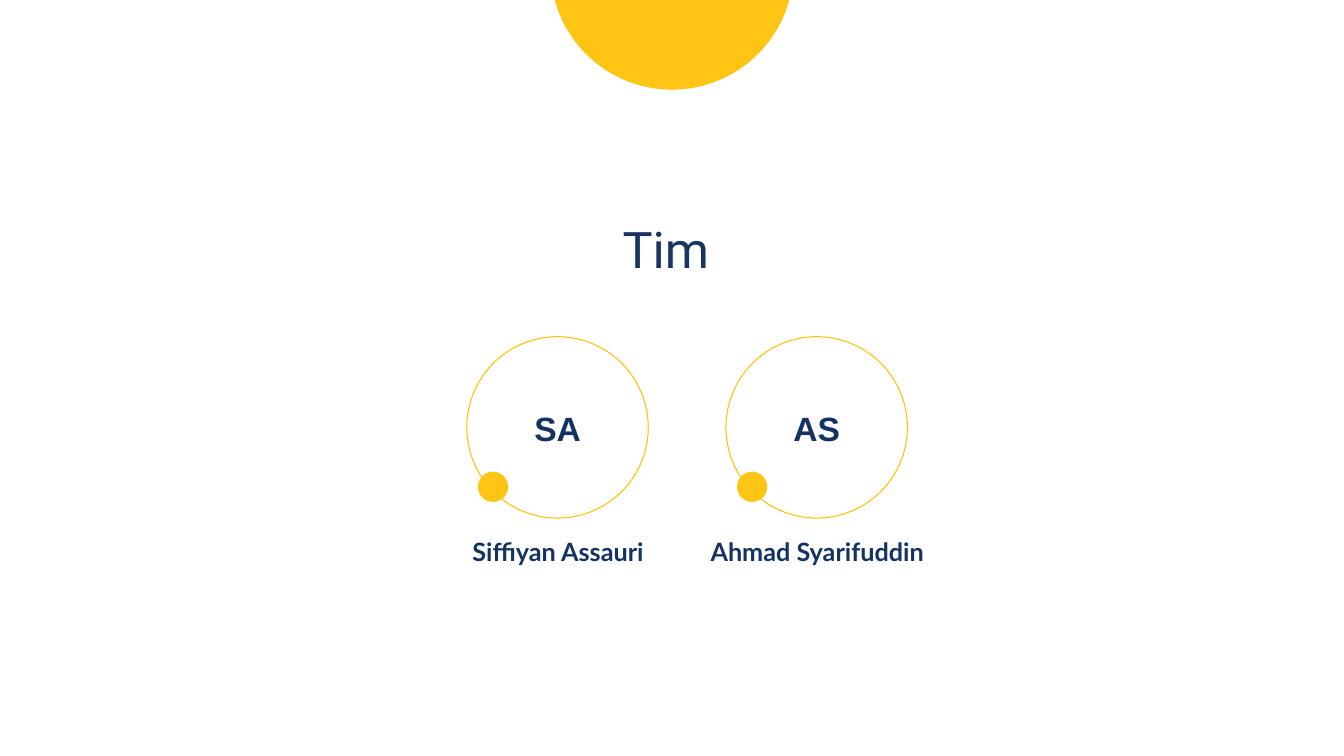
from pptx import Presentation
from pptx.dml.color import RGBColor
from pptx.enum.shapes import MSO_SHAPE
from pptx.enum.text import MSO_ANCHOR, MSO_AUTO_SIZE, PP_ALIGN
from pptx.util import Inches, Pt

TITLE_NAVY = RGBColor(0x19, 0x35, 0x5F)
NAVY = RGBColor(0x14, 0x33, 0x62)
RING_YELLOW = RGBColor(0xFF, 0xC2, 0x00)
YELLOW = RGBColor(0xFF, 0xC4, 0x14)

MEMBERS = [("SA", "Siffiyan Assauri"), ("AS", "Ahmad Syarifuddin")]
FIRST_RING_LEFT = 4.63
MEMBER_PITCH = 2.57
RING_TOP = 3.34


def write_text(frame, text, *, font, size, color, bold=False, spacing=0.75,
               anchor=MSO_ANCHOR.TOP, insets=(0, 0.16, 0, 0)):
    frame.word_wrap = True
    frame.auto_size = MSO_AUTO_SIZE.NONE
    frame.vertical_anchor = anchor
    (frame.margin_left, frame.margin_top,
     frame.margin_right, frame.margin_bottom) = map(Inches, insets)
    paragraph = frame.paragraphs[0]
    paragraph.alignment = PP_ALIGN.CENTER
    paragraph.line_spacing = spacing
    paragraph.space_before = Pt(0)
    run = paragraph.add_run()
    run.text = text
    run.font.name = font
    run.font.size = Pt(size)
    run.font.bold = bold
    run.font.color.rgb = color


class TeamSlide:
    def __init__(self, presentation):
        self.slide = presentation.slides.add_slide(presentation.slide_layouts[5])

    def title(self, text):
        title = self.slide.shapes.title
        title.left, title.top = Inches(2.37), Inches(2.15)
        title.width, title.height = Inches(8.47), Inches(0.67)
        write_text(title.text_frame, text, font="Roboto", size=36,
                   color=TITLE_NAVY, spacing=0.9, anchor=MSO_ANCHOR.BOTTOM,
                   insets=(0.1, 0.05, 0.1, 0.05))

    def circle(self, left, top, diameter, fill=None, line=None):
        circle = self.slide.shapes.add_shape(
            MSO_SHAPE.OVAL, Inches(left), Inches(top),
            Inches(diameter), Inches(diameter))
        circle.shadow.inherit = False
        if fill is None:
            circle.fill.background()
        else:
            circle.fill.solid()
            circle.fill.fore_color.rgb = fill
        if line is None:
            circle.line.fill.background()
        else:
            circle.line.color.rgb = line
            circle.line.width = Pt(0.75)

    def label(self, text, left, top, width, height, font, size):
        box = self.slide.shapes.add_textbox(
            Inches(left), Inches(top), Inches(width), Inches(height))
        write_text(box.text_frame, text, font=font, size=size,
                   color=NAVY, bold=True)

    def member(self, left, initials, name):
        self.circle(left, RING_TOP, 1.8, line=RING_YELLOW)
        self.circle(left + 0.11, RING_TOP + 1.34, 0.3, fill=YELLOW)
        self.label(initials, left + 0.39, RING_TOP + 0.64, 1.02, 0.53, "Arial", 24)
        self.label(name, left - 0.26, RING_TOP + 1.89, 2.33, 0.41, "Lato", 18)


def main():
    presentation = Presentation()
    presentation.slide_width = Inches(13.33)
    presentation.slide_height = Inches(7.5)
    team = TeamSlide(presentation)
    team.title("Tim")
    team.circle(5.46, -1.52, 2.41, fill=YELLOW)
    for index, (initials, name) in enumerate(MEMBERS):
        team.member(FIRST_RING_LEFT + index * MEMBER_PITCH, initials, name)
    presentation.save("out.pptx")


if __name__ == "__main__":
    main()
